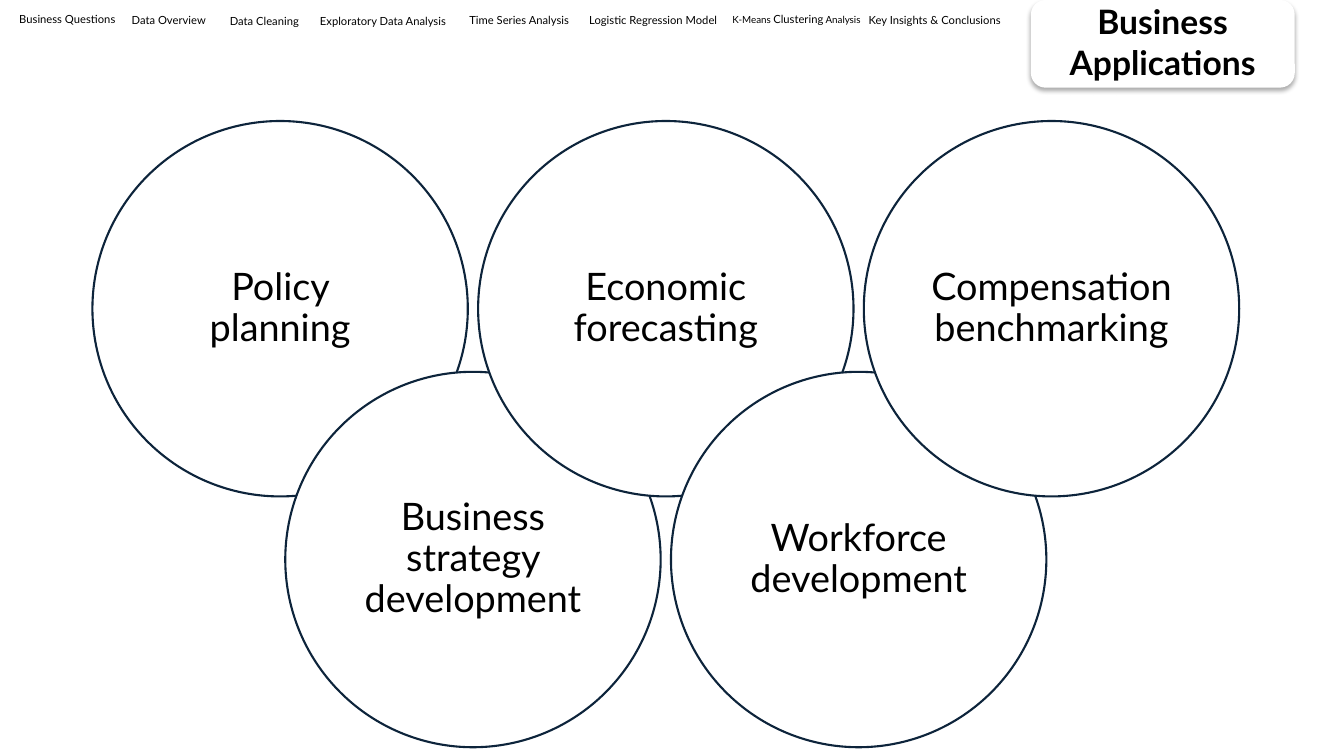
from dataclasses import dataclass

from lxml.etree import SubElement
from pptx import Presentation
from pptx.dml.color import RGBColor
from pptx.enum.shapes import MSO_SHAPE
from pptx.enum.text import MSO_ANCHOR, MSO_AUTO_SIZE, PP_ALIGN
from pptx.oxml.ns import qn
from pptx.util import Cm, Pt


@dataclass(frozen=True)
class Theme:
    font: str = "Lato"
    ink: RGBColor = RGBColor(0x00, 0x00, 0x00)
    paper: RGBColor = RGBColor(0xFF, 0xFF, 0xFF)
    outline: RGBColor = RGBColor(0x0D, 0x24, 0x3B)
    title_size: float = 24
    circle_size: float = 27
    nav_size: float = 8
    nav_small_size: float = 7


def write(paragraph, text, *, theme, size, bold=False, align=PP_ALIGN.CENTER, spacing=1.0):
    paragraph.alignment = align
    paragraph.line_spacing = spacing
    run = paragraph.add_run()
    run.text = text
    run.font.name = theme.font
    run.font.size = Pt(size)
    run.font.bold = bold
    run.font.color.rgb = theme.ink


class SlideBuilder:
    def __init__(self, slide, theme):
        self.slide = slide
        self.theme = theme

    def panel(self, left, top, width, height):
        panel = self.slide.shapes.add_shape(
            MSO_SHAPE.ROUNDED_RECTANGLE, Cm(left), Cm(top), Cm(width), Cm(height))
        panel.shadow.inherit = False
        panel.fill.solid()
        panel.fill.fore_color.rgb = self.theme.paper
        panel.line.fill.background()
        effects = panel._element.spPr.find(qn("a:effectLst"))
        shadow = SubElement(effects, qn("a:outerShdw"), blurRad=str(Pt(3.5)),
                            dist=str(Pt(2.2)), dir="5400000", rotWithShape="0")
        tint = SubElement(shadow, qn("a:srgbClr"), val=str(self.theme.ink))
        SubElement(tint, qn("a:alpha"), val="32000")

    def title(self, text, left, top, width, height):
        title = self.slide.shapes.title
        title.left, title.top, title.width, title.height = map(Cm, (left, top, width, height))
        frame = title.text_frame
        frame.word_wrap = True
        frame.auto_size = MSO_AUTO_SIZE.NONE
        frame.vertical_anchor = MSO_ANCHOR.TOP
        write(frame.paragraphs[0], text, theme=self.theme,
              size=self.theme.title_size, bold=True)
        self.slide.shapes._spTree.append(title._element)

    def circle(self, text, left, top, diameter, inset):
        circle = self.slide.shapes.add_shape(
            MSO_SHAPE.OVAL, Cm(left), Cm(top), Cm(diameter), Cm(diameter))
        circle.shadow.inherit = False
        circle.fill.solid()
        circle.fill.fore_color.rgb = self.theme.paper
        circle.line.color.rgb = self.theme.outline
        circle.line.width = Pt(1.5)
        frame = circle.text_frame
        frame.word_wrap = True
        frame.vertical_anchor = MSO_ANCHOR.MIDDLE
        frame.margin_left = frame.margin_right = Cm(inset)
        frame.margin_top = frame.margin_bottom = Cm(inset)
        write(frame.paragraphs[0], text, theme=self.theme,
              size=self.theme.circle_size, spacing=0.9)

    def nav_label(self, pieces, left, top, width, align):
        label = self.slide.shapes.add_textbox(Cm(left), Cm(top), Cm(width), Cm(0.6))
        frame = label.text_frame
        frame.word_wrap = True
        for text, size in pieces:
            write(frame.paragraphs[0], text, theme=self.theme, size=size, align=align)


def main():
    deck = Presentation()
    deck.slide_width, deck.slide_height = Cm(33.87), Cm(19.05)
    theme = Theme()
    builder = SlideBuilder(deck.slides.add_slide(deck.slide_layouts[5]), theme)

    builder.panel(25.98, 0, 6.65, 2.21)

    applications = ["Policy planning", "Business strategy development",
                    "Economic forecasting", "Workforce development",
                    "Compensation benchmarking"]
    first_left, step, row_tops = 2.33, 4.86, (3.05, 9.37)
    for index, application in enumerate(applications):
        builder.circle(application, first_left + index * step, row_tops[index % 2],
                       diameter=9.46, inset=0.29)

    normal, small = theme.nav_size, theme.nav_small_size
    center, left_aligned = PP_ALIGN.CENTER, PP_ALIGN.LEFT
    sections = [
        ([("Business Questions", normal)], 0, 0.18, 3.4, center),
        ([("Data Overview", normal)], 1.88, 0.2, 4.75, center),
        ([("Data Cleaning", normal)], 4.29, 0.23, 4.75, center),
        ([("Exploratory Data Analysis", normal)], 6.25, 0.23, 6.81, center),
        ([("Time Series Analysis", normal)], 11.58, 0.2, 4.24, left_aligned),
        ([("Logistic Regression Model", normal)], 14.6, 0.2, 4.95, left_aligned),
        ([("K-Means ", small), ("Clustering", normal), (" Analysis", small)],
         18.21, 0.18, 4.75, left_aligned),
        ([("Key Insights & Conclusions", normal)], 21.64, 0.2, 4.32, left_aligned),
    ]
    for section in sections:
        builder.nav_label(*section)

    builder.title("Business Applications", 25.4, -0.1, 7.8, 2.31)
    deck.save("out.pptx")


if __name__ == "__main__":
    main()
